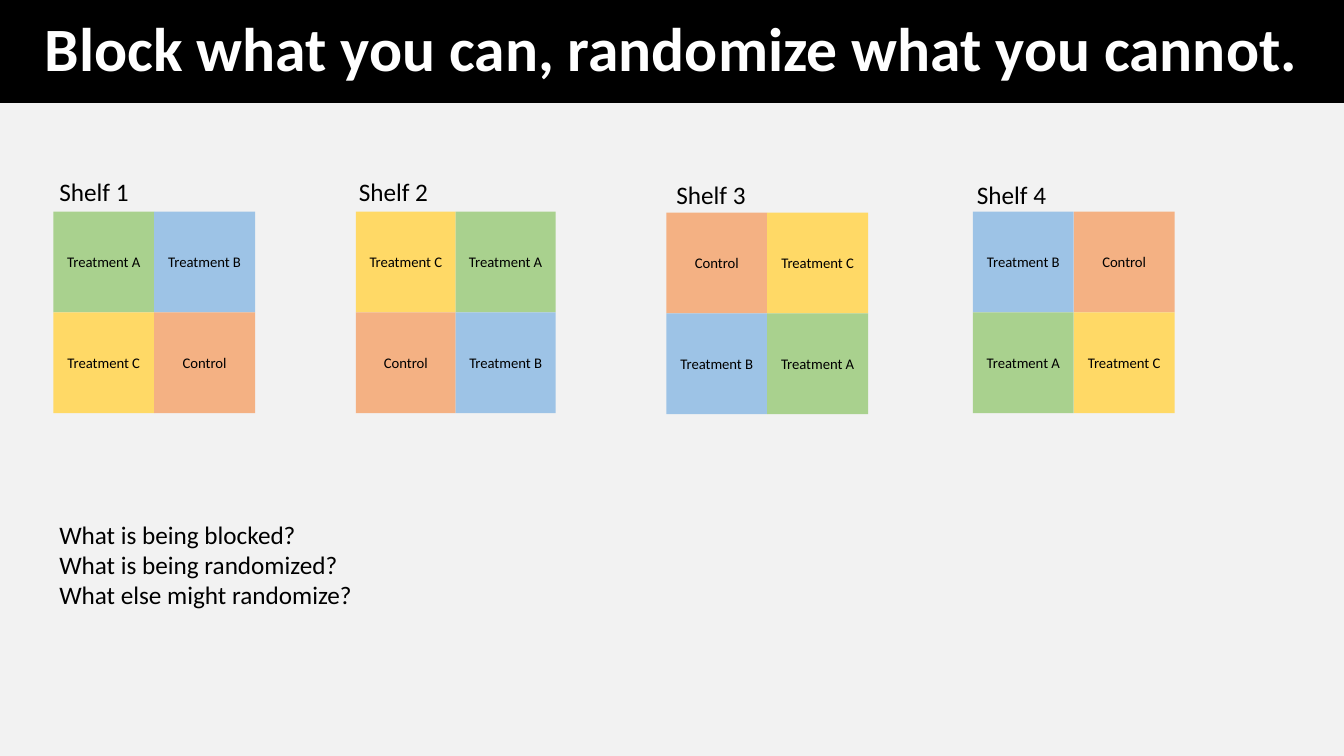
"""Build the slide on blocking and randomizing treatments across four shelves."""
from pptx import Presentation
from pptx.dml.color import RGBColor
from pptx.enum import shapes, text
from pptx.util import Inches, Pt

COLORS = {
    "background": "F2F2F2",
    "black": "000000",
    "white": "FFFFFF",
    "Treatment A": "A9D18E",
    "Treatment B": "9DC3E6",
    "Treatment C": "FFD966",
    "Control": "F4B183",
}

SHELVES = [
    ("Shelf 1", 0.53, 2.1, 1, 0.49, 1.7,
     ["Treatment A", "Treatment B", "Treatment C", "Control"]),
    ("Shelf 2", 3.53, 2.1, 0.99, 3.46, 1.7,
     ["Treatment C", "Treatment A", "Control", "Treatment B"]),
    ("Shelf 3", 6.61, 2.11, 1, 6.61, 1.73,
     ["Control", "Treatment C", "Treatment B", "Treatment A"]),
    ("Shelf 4", 9.65, 2.1, 1, 9.59, 1.73,
     ["Treatment B", "Control", "Treatment A", "Treatment C"]),
]
QUESTIONS = [
    "What is being blocked?",
    "What is being randomized?",
    "What else might randomize?",
]


def format_text(shape, size, color="black", align=text.PP_ALIGN.LEFT, bold=False):
    for paragraph in shape.text_frame.paragraphs:
        paragraph.alignment = align
        for run in paragraph.runs:
            run.font.name = "Calibri"
            run.font.size = Pt(size)
            run.font.bold = bold
            run.font.color.rgb = RGBColor.from_string(COLORS[color])


def add_text(slide, content, left, top, width, height, wrap):
    shape = slide.shapes.add_textbox(Inches(left), Inches(top), Inches(width), Inches(height))
    shape.text_frame.text = content
    shape.text_frame.word_wrap = wrap
    shape.text_frame.auto_size = text.MSO_AUTO_SIZE.SHAPE_TO_FIT_TEXT
    format_text(shape, 18)


presentation = Presentation()
presentation.slide_width = Inches(13.33)
presentation.slide_height = Inches(7.5)
slide = presentation.slides.add_slide(presentation.slide_layouts[5])
slide.background.fill.solid()
slide.background.fill.fore_color.rgb = RGBColor.from_string(COLORS["background"])

title = slide.shapes.title
title.left, title.top = Inches(0), Inches(0)
title.width, title.height = presentation.slide_width, Inches(1.02)
title.fill.solid()
title.fill.fore_color.rgb = RGBColor.from_string(COLORS["black"])
title.text_frame.text = "Block what you can, randomize what you cannot."
title.text_frame.auto_size = text.MSO_AUTO_SIZE.NONE
title.text_frame.vertical_anchor = text.MSO_ANCHOR.MIDDLE
title.text_frame.paragraphs[0].line_spacing = 0.9
format_text(title, 44, "white", text.PP_ALIGN.CENTER, True)

for label, left, top, cell_width, label_left, label_top, treatments in SHELVES:
    shelf = slide.shapes.add_group_shape()
    shelf.name = label
    for index, treatment in enumerate(treatments):
        row, column = divmod(index, 2)
        cell = shelf.shapes.add_shape(
            shapes.MSO_SHAPE.RECTANGLE,
            Inches(left + column * cell_width), Inches(top + row),
            Inches(cell_width), Inches(1))
        cell.shadow.inherit = False
        cell.fill.solid()
        cell.fill.fore_color.rgb = RGBColor.from_string(COLORS[treatment])
        cell.line.fill.background()
        cell.text_frame.text = treatment
        cell.text_frame.word_wrap = True
        cell.text_frame.vertical_anchor = text.MSO_ANCHOR.MIDDLE
        format_text(cell, 10.5, align=text.PP_ALIGN.CENTER)
    add_text(slide, label, label_left, label_top, 0.91, 0.4, True)

add_text(slide, "\n".join(QUESTIONS), 0.49, 5.1, 3.14, 1.01, False)

presentation.save("out.pptx")
